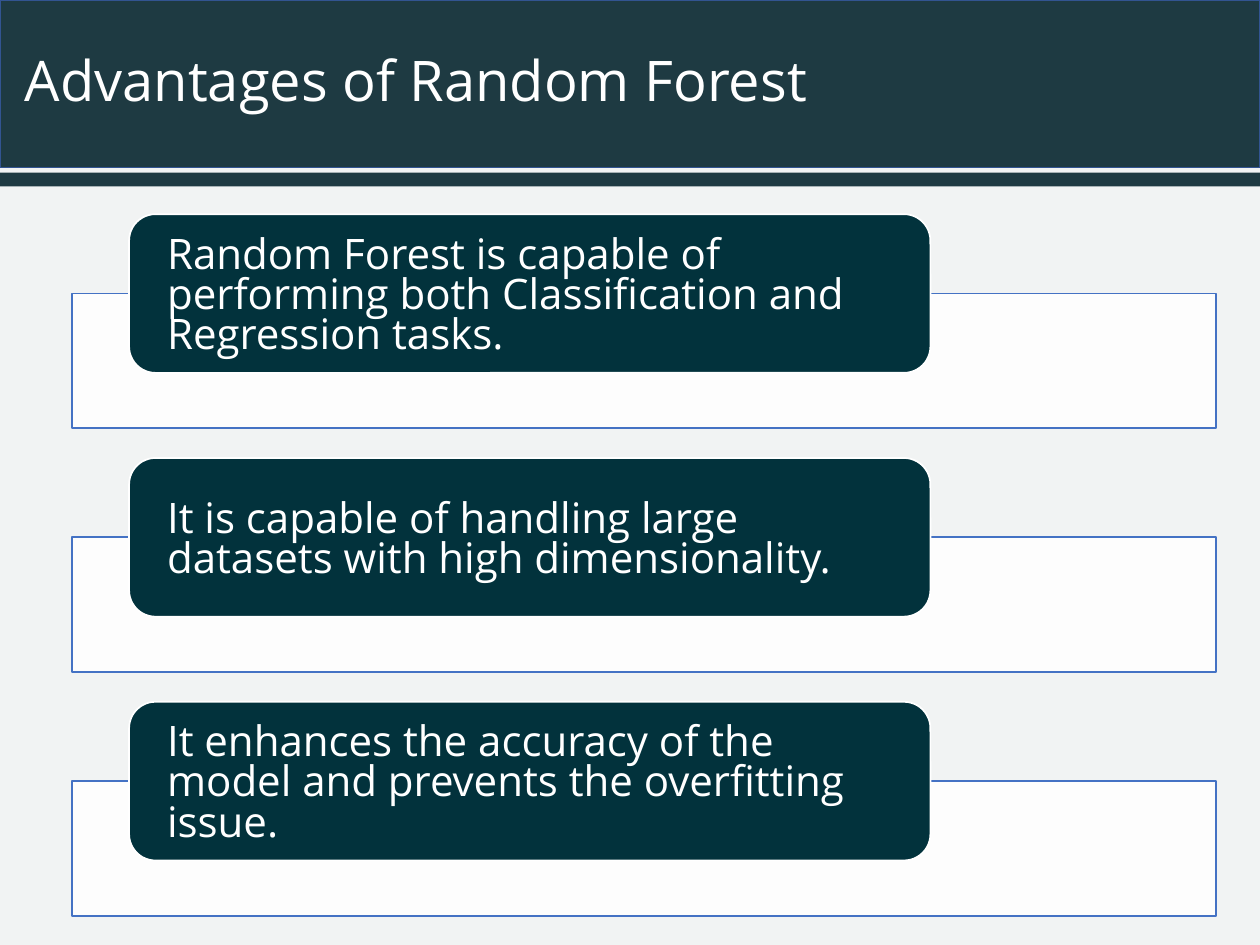
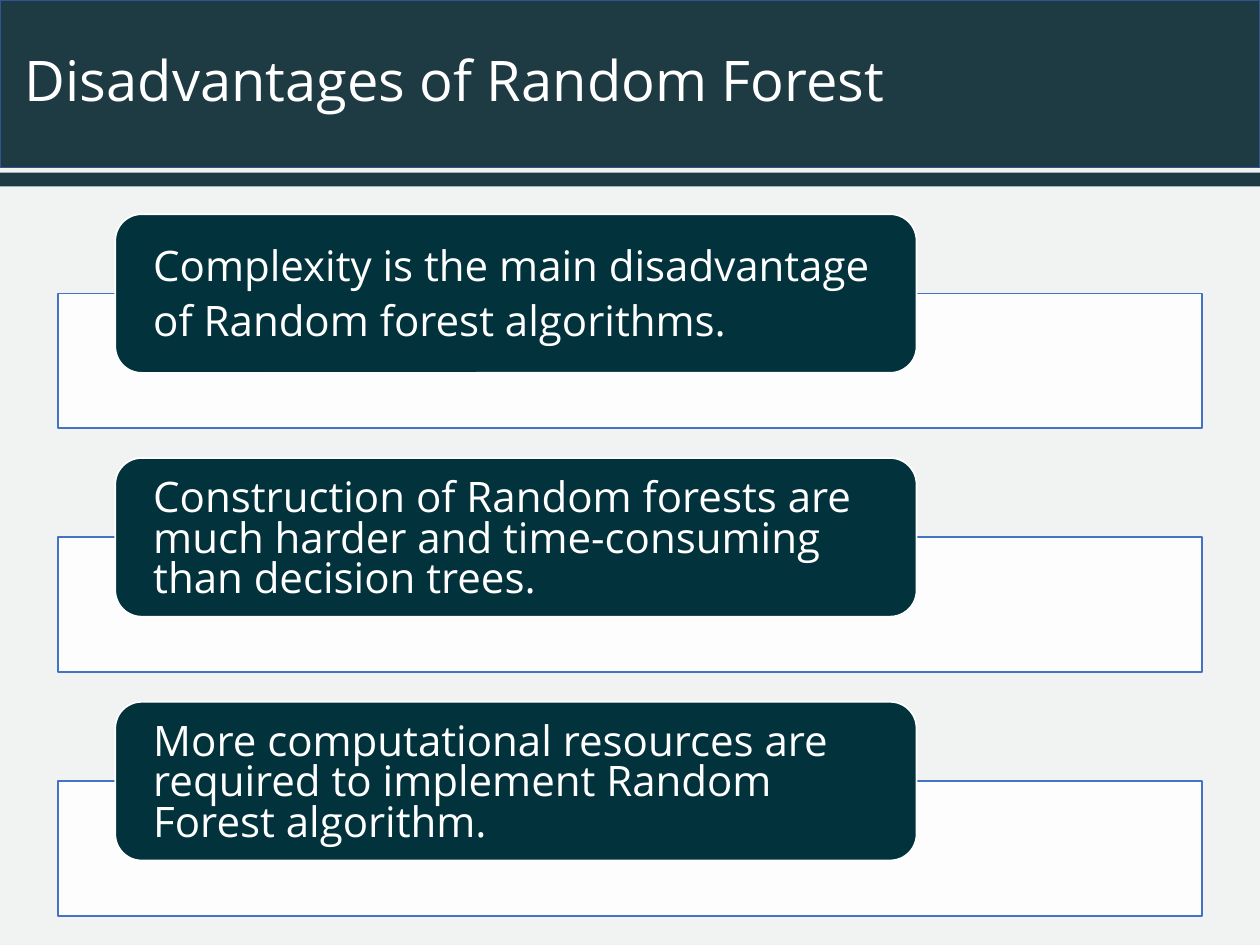
from dataclasses import dataclass

import lxml.etree
import pptx
import pptx.dml.color
import pptx.enum.shapes
import pptx.enum.text
import pptx.oxml.ns
import pptx.util

Inches = pptx.util.Inches
Pt = pptx.util.Pt
RGBColor = pptx.dml.color.RGBColor
MSO_SHAPE = pptx.enum.shapes.MSO_SHAPE
qn = pptx.oxml.ns.qn

FONT = "Open Sans"
BACKGROUND = RGBColor(0xF1, 0xF3, 0xF3)
BAND = RGBColor(0x1E, 0x3A, 0x42)
BAND_LINE = RGBColor(0x32, 0x54, 0x91)
CARD = RGBColor(0x02, 0x32, 0x3C)
PANEL_LINE = RGBColor(0x44, 0x72, 0xC4)
WHITE = RGBColor(0xFF, 0xFF, 0xFF)

SLIDE_W = 10
BAND_H = 1.33
CARD_TOP = 1.7
CARD_PITCH = 1.935
CARD_INDENT = 0.455
PANEL_DROP = 0.63


@dataclass
class Page:
    title: str
    left: float
    points: list[str]


PAGES = [
    Page("Advantages of Random Forest", 0.57, [
        "Random Forest is capable of performing both Classification and Regression tasks.",
        "It is capable of handling large datasets with high dimensionality.",
        "It enhances the accuracy of the model and prevents the overfitting issue.",
    ]),
    Page("Disadvantages of Random Forest", 0.46, [
        "Complexity is the main disadvantage\nof Random forest algorithms.",
        "Construction of Random forests are much harder and time-consuming than decision trees.",
        "More computational resources are required to implement Random Forest algorithm.",
    ]),
]


def add_box(slide, kind, left: float, top: float, width: float, height: float,
            fill: RGBColor, line: RGBColor | None = None):
    sp = slide.shapes.add_shape(kind, Inches(left), Inches(top), Inches(width), Inches(height))
    sp.shadow.inherit = False
    sp.fill.solid()
    sp.fill.fore_color.rgb = fill
    if line is None:
        sp.line.fill.background()
    else:
        sp.line.color.rgb = line
        sp.line.width = Pt(1)
    return sp


def set_alpha(sp, percent: int) -> None:
    color = sp.fill._xPr.find(qn("a:solidFill"))[0]
    lxml.etree.SubElement(color, qn("a:alpha")).set("val", str(percent * 1000))


def write(sp, text: str, size: float, spacing: float) -> None:
    tf = sp.text_frame
    tf.word_wrap = True
    tf.vertical_anchor = pptx.enum.text.MSO_ANCHOR.MIDDLE
    tf.text = text
    for p in tf.paragraphs:
        p.alignment = pptx.enum.text.PP_ALIGN.LEFT
        p.line_spacing = spacing
        p.font.name = FONT
        p.font.size = Pt(size)
        p.font.color.rgb = WHITE
    for p in tf.paragraphs[:-1]:
        p.space_after = Pt(8.4)


def add_header(slide, title: str) -> None:
    add_box(slide, MSO_SHAPE.RECTANGLE, 0, 0, SLIDE_W, BAND_H, BAND, BAND_LINE)
    add_box(slide, MSO_SHAPE.RECTANGLE, 0, 1.37, SLIDE_W, 0.11, BAND)
    sp = slide.shapes.add_textbox(Inches(0.1), 0, Inches(SLIDE_W - 0.1), Inches(BAND_H))
    write(sp, title, 32, 0.9)


def add_point(slide, left: float, top: float, text: str) -> None:
    panel = add_box(slide, MSO_SHAPE.RECTANGLE, left, top + PANEL_DROP, 9.08, 1.07,
                    WHITE, PANEL_LINE)
    set_alpha(panel, 90)
    card = add_box(slide, MSO_SHAPE.ROUNDED_RECTANGLE, left + CARD_INDENT, top, 6.36, 1.26,
                   CARD, WHITE)
    tf = card.text_frame
    tf.margin_left = tf.margin_right = Inches(0.24)
    tf.margin_top = Inches(0.06)
    tf.margin_bottom = 0
    write(card, text, 24, 0.8)


def add_page(prs, page: Page) -> None:
    slide = prs.slides.add_slide(prs.slide_layouts[6])
    slide.background.fill.solid()
    slide.background.fill.fore_color.rgb = BACKGROUND
    add_header(slide, page.title)
    for i, text in enumerate(page.points):
        add_point(slide, page.left, CARD_TOP + i * CARD_PITCH, text)


prs = pptx.Presentation()
prs.slide_width = Inches(SLIDE_W)
prs.slide_height = Inches(7.5)
for page in PAGES:
    add_page(prs, page)
prs.save("out.pptx")
